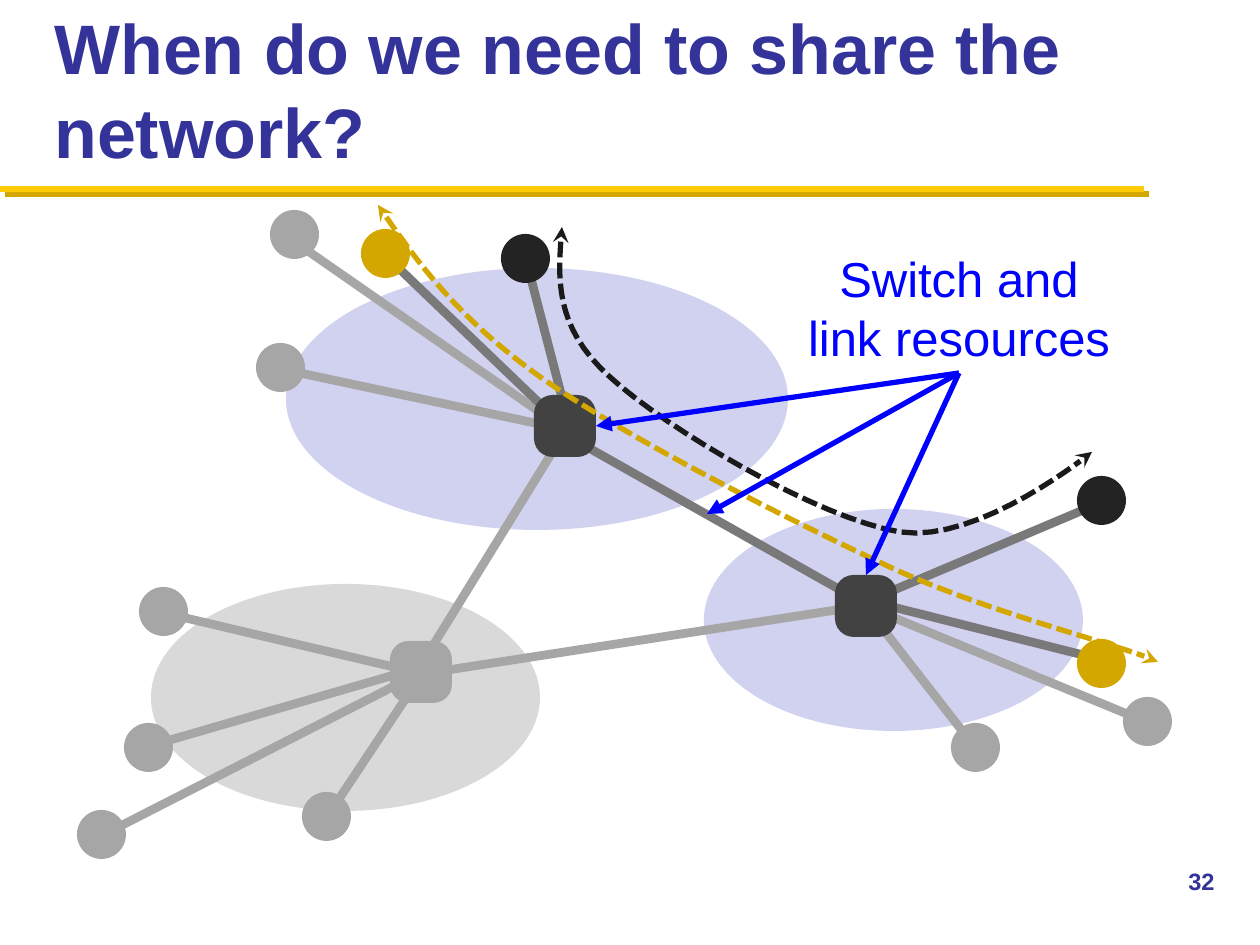
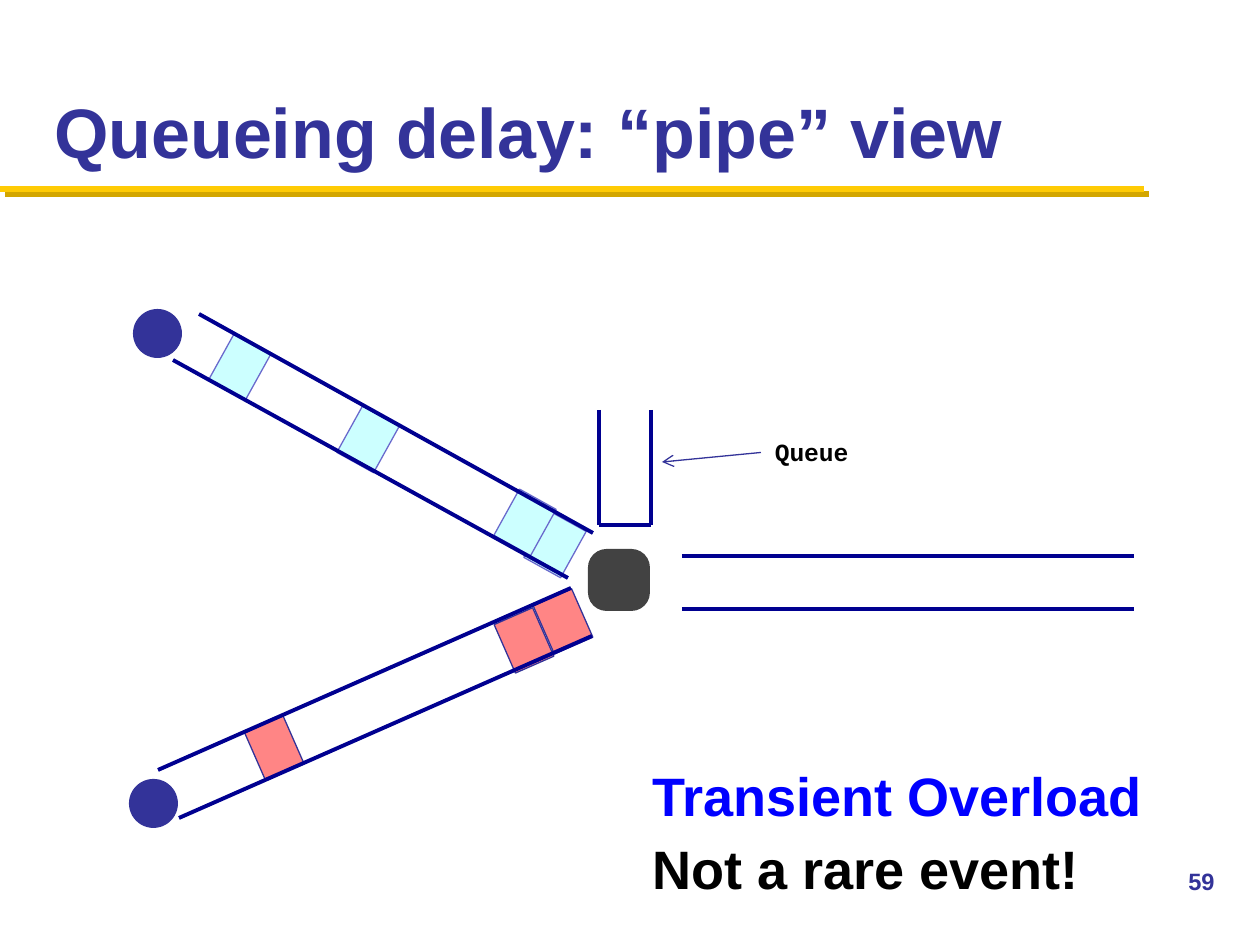
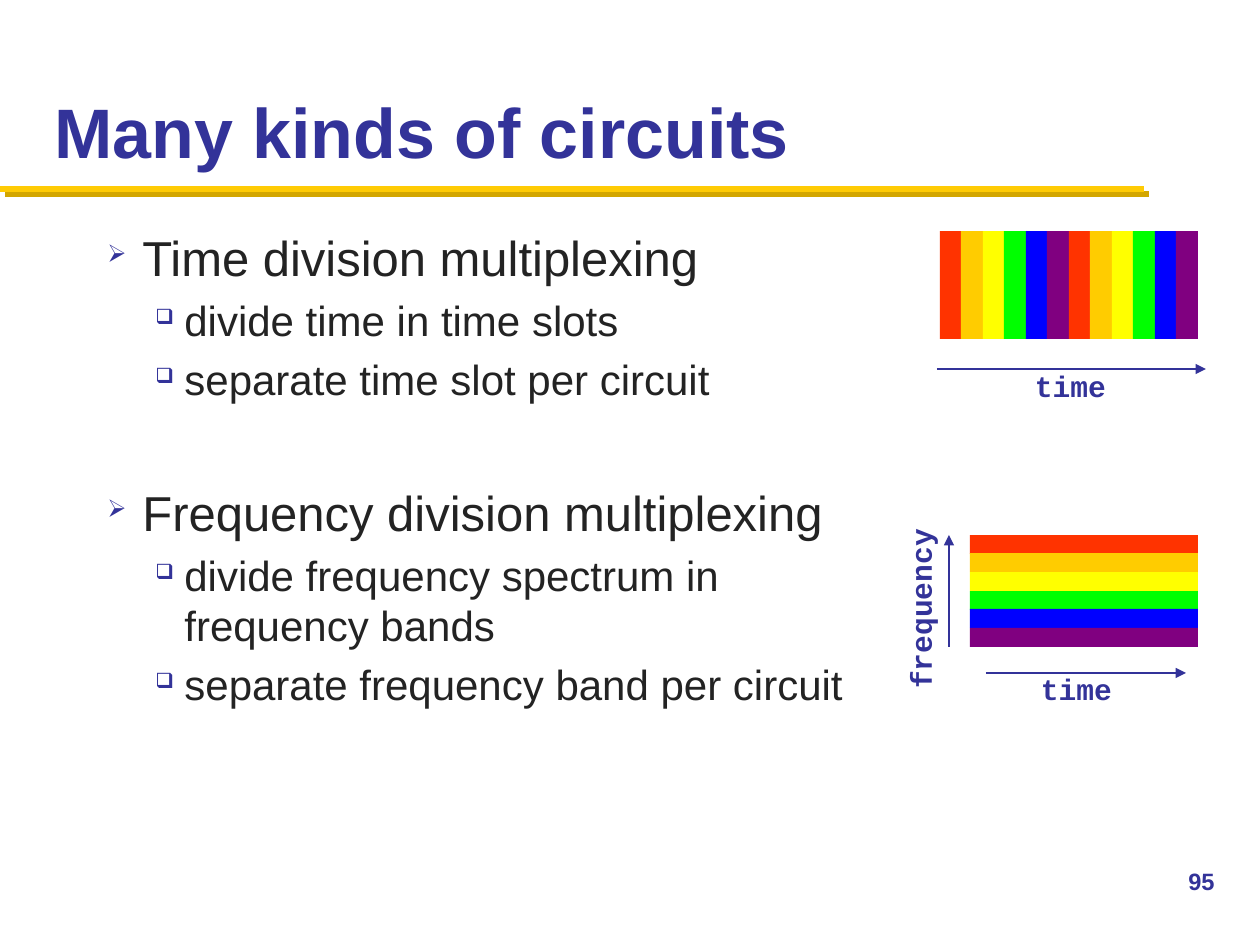
from lxml.etree import SubElement
from pptx import Presentation
from pptx.dml.color import RGBColor
from pptx.enum.dml import MSO_LINE
from pptx.enum.shapes import MSO_CONNECTOR, MSO_SHAPE as SHAPE
from pptx.enum.text import MSO_ANCHOR as ANCHOR, PP_ALIGN as ALIGN
from pptx.oxml.ns import qn
from pptx.util import Pt

PX = 7257  # EMU per px, 126 px to the inch
SANS, MONO = "Arial", "Courier New"
INDIGO, NAVY, BLUE, BLACK = "333399", "000090", "0000FF", "000000"
YELLOW, GOLD, INK = "FFCB05", "D3A600", "232323"
LAVENDER, PALE_GRAY = "D1D1F0", "D9D9D9"
GRAY, DARK_GRAY, CHARCOAL = "A6A6A6", "797979", "424242"
RAINBOW = ["FF3300", "FFCC00", "FFFF00", "00FF00", "0000FF", "800080"]
HOST_SIZE, SWITCH_SIZE = 49, 62
color = RGBColor.from_string


def add_block(slide, kind, box, fill, outline=None, rotation=0):
    shape = slide.shapes.add_shape(kind, *[value * PX for value in box])
    shape.shadow.inherit = False
    shape.fill.solid()
    shape.fill.fore_color.rgb = color(fill)
    shape.rotation = rotation
    if outline:
        shape.line.color.rgb = color(outline)
        shape.line.width = Pt(0.75)
    else:
        shape.line.fill.background()
    if kind == SHAPE.ROUNDED_RECTANGLE:
        shape.adjustments[0] = 0.3
    return shape


def add_line(slide, ends, line_color, width, arrow=None):
    """Draw a straight line through ends (x1, y1, x2, y2), with an optional arrowhead."""
    connector = slide.shapes.add_connector(
        MSO_CONNECTOR.STRAIGHT, *[value * PX for value in ends])
    connector.line.color.rgb = color(line_color)
    connector.line.width = Pt(width)
    properties = connector._element.spPr
    if arrow:
        SubElement(properties.find(qn("a:ln")), qn("a:tailEnd"), type=arrow)
    SubElement(properties, qn("a:effectLst"))
    return connector


presentation = Presentation()
presentation.slide_width = 1260 * PX
presentation.slide_height = 945 * PX

# Shared frame: double rule, title and slide number
slides = []
labels = []
for title, number in [("When do we need to share the network?", "32"),
                      ("Queueing delay: “pipe” view", "59"),
                      ("Many kinds of circuits", "95")]:
    slide = presentation.slides.add_slide(presentation.slide_layouts[6])
    add_line(slide, (5, 194, 1149, 194), GOLD, 3.5)
    add_line(slide, (0, 189, 1144, 189), YELLOW, 3.5)
    slides.append(slide)
    labels += [
        (slide, title, (42, 21, 1176, 158), 40, SANS, INDIGO, True, ALIGN.LEFT),
        (slide, number, (1176, 861, 84, 63), 13.5, SANS, INDIGO, True, ALIGN.LEFT),
    ]
sharing, queueing, circuits = slides

# Labels of all slides
labels += [
    (sharing, "Switch and link resources", (794, 242, 330, 131), 28, SANS, BLUE, False, ALIGN.CENTER),
    (queueing, "Transient Overload", (640, 756, 588, 78), 30.9, SANS, BLUE, True, ALIGN.LEFT),
    (queueing, "Not a rare event!", (640, 829, 588, 78), 30.9, SANS, BLACK, True, ALIGN.LEFT),
    (queueing, "Queue", (761, 431, 100, 43), 14.1, MONO, BLACK, True, ALIGN.RIGHT),
    (circuits, "time", (1022, 362, 97, 48), 16.9, MONO, INDIGO, True, ALIGN.CENTER),
    (circuits, "time", (1028, 665, 97, 48), 16.9, MONO, INDIGO, True, ALIGN.CENTER),
    (circuits, "frequency", (827, 585, 186, 48), 16.9, MONO, INDIGO, True, ALIGN.CENTER),
]
text_boxes = {}
for slide, text, box, size, font_name, text_color, bold, align in labels:
    text_box = slide.shapes.add_textbox(*[value * PX for value in box])
    text_box.text_frame.word_wrap = font_name == SANS
    paragraph = text_box.text_frame.paragraphs[0]
    paragraph.text = text
    paragraph.alignment = align
    paragraph.font.name = font_name
    paragraph.font.size = Pt(size)
    paragraph.font.bold = bold
    paragraph.font.color.rgb = color(text_color)
    if size == 40:
        text_box.text_frame.vertical_anchor = ANCHOR.BOTTOM
    text_boxes[text] = text_box
text_boxes["frequency"].rotation = 270

# Slide 1: networks, links, hosts and switches
for box, fill in [((704, 509, 379, 222), LAVENDER),
                  ((286, 268, 502, 262), LAVENDER),
                  ((151, 584, 389, 227), PALE_GRAY)]:
    add_block(sharing, SHAPE.OVAL, box, fill)

for ends, link_color in [
    ((528, 267, 571, 432), DARK_GRAY),
    ((1149, 723, 863, 605), GRAY),
    ((412, 677, 97, 838), GRAY),
    ((281, 369, 558, 428), GRAY),
    ((160, 612, 415, 672), GRAY),
    ((420, 677, 331, 811), GRAY),
    ((295, 242, 554, 422), GRAY),
    ((386, 256, 558, 421), DARK_GRAY),
    ((146, 747, 415, 669), GRAY),
    ((1100, 503, 861, 604), DARK_GRAY),
    ((869, 611, 974, 746), GRAY),
    ((1099, 659, 869, 601), DARK_GRAY),
    ((557, 430, 867, 605), DARK_GRAY),
    ((566, 430, 421, 665), GRAY),
    ((869, 605, 422, 674), GRAY),
]:
    add_line(sharing, ends, link_color, 5)

hosts = {
    GRAY: [(256, 343), (139, 587), (302, 792), (270, 210), (124, 723),
           (951, 723), (77, 810), (1123, 697)],
    GOLD: [(361, 229), (1077, 639)],
    INK: [(501, 234), (1077, 476)],
}
for host_color, corners in hosts.items():
    for corner in corners:
        add_block(sharing, SHAPE.OVAL, (*corner, HOST_SIZE, HOST_SIZE), host_color)

upper_switch, lower_switch, right_switch = [
    add_block(sharing, SHAPE.ROUNDED_RECTANGLE, (*corner, SWITCH_SIZE, SWITCH_SIZE), fill)
    for corner, fill in [((534, 395), CHARCOAL), ((390, 641), GRAY), ((835, 575), CHARCOAL)]]

# Dashed flows, each a chain of cubic curves that share their end points
flows = [
    ("1A1A1A", [(562, 227), (558, 277), (553, 326), (610, 377), (665, 428),
                (819, 519), (900, 532), (980, 544), (1092, 452), (1092, 452)]),
    (GOLD, [(378, 205), (417, 262), (457, 318), (543, 379), (630, 440),
            (793, 522), (896, 570), (998, 616), (1125, 646), (1158, 662)]),
]
STEPS = 16
for flow_color, controls in flows:
    points = []
    for first in range(0, len(controls) - 1, 3):
        curve = controls[first:first + 4]
        for step in range(1, STEPS + 1):
            t = step / STEPS
            weights = [(1 - t) ** 3, 3 * t * (1 - t) ** 2, 3 * t * t * (1 - t), t ** 3]
            points.append([PX * sum(weight * point[axis] for weight, point in zip(weights, curve))
                           for axis in (0, 1)])
    builder = sharing.shapes.build_freeform(*[value * PX for value in controls[0]])
    builder.add_line_segments(points, close=False)
    flow = builder.convert_to_shape()
    flow.shadow.inherit = False
    flow.fill.background()
    flow.line.color.rgb = color(flow_color)
    flow.line.width = Pt(3)
    flow.line.dash_style = MSO_LINE.SQUARE_DOT
    for end in ("a:headEnd", "a:tailEnd"):
        SubElement(flow._element.spPr.find(qn("a:ln")), qn(end), type="stealth")

for target, switch, side in [((596, 426), upper_switch, 3),
                             ((866, 575), right_switch, 0),
                             ((707, 514), None, None)]:
    pointer = add_line(sharing, (959, 373, *target), BLUE, 3, "triangle")
    pointer.begin_connect(text_boxes["Switch and link resources"], 2)
    if switch:
        pointer.end_connect(switch, side)

# Slide 2: incoming pipes with packets, queue and outgoing pipe
for packets, fill, outline, rotation, walls in [
    ([(253, 721), (542, 595), (503, 614)], "FF8585", INDIGO, 336.3,
     [(158, 770, 571, 588), (179, 818, 592, 636)]),
    ([(534, 518), (504, 496), (347, 413), (219, 340)], "CCFFFF", "6A6ACD", 29,
     [(199, 314, 593, 533), (173, 360, 568, 578)]),
]:
    for corner in packets:
        add_block(queueing, SHAPE.RECTANGLE, (*corner, 42, 53), fill, outline, rotation)
    for wall in walls:
        add_line(queueing, wall, NAVY, 2.25)

queue_walls = [(599, 410, 599, 525), (651, 410, 651, 525), (599, 525, 651, 525)]
outgoing_walls = [(682, 556, 1134, 556), (682, 609, 1134, 609)]
for wall in queue_walls + outgoing_walls:
    add_line(queueing, wall, NAVY, 2.25)

for corner in [(133, 309), (129, 779)]:
    add_block(queueing, SHAPE.OVAL, (*corner, HOST_SIZE, HOST_SIZE), INDIGO)
add_block(queueing, SHAPE.ROUNDED_RECTANGLE, (588, 549, SWITCH_SIZE, SWITCH_SIZE), CHARCOAL)
queue_pointer = add_line(queueing, (761, 452, 662, 462), INDIGO, 0.75, "arrow")
queue_pointer.begin_connect(text_boxes["Queue"], 1)

# Slide 3: bulleted text
body = circuits.shapes.add_textbox(95 * PX, 221 * PX, 1092 * PX, 608 * PX).text_frame
body.word_wrap = True
levels = [("➢", 28, 35, -35), ("❑", 24, 77, -29)]
for index, (text, level, space_before) in enumerate([
    ("Time division multiplexing", 0, 0),
    ("divide time in time slots", 1, 4.8),
    ("separate time slot per circuit", 1, 4.8),
    ("Frequency division multiplexing", 0, 45),
    ("divide frequency spectrum in\vfrequency bands", 1, 4.8),
    ("separate frequency band per circuit", 1, 4.8),
]):
    bullet, size, margin, indent = levels[level]
    paragraph = body.add_paragraph() if index else body.paragraphs[0]
    paragraph.text = text
    paragraph.level = level
    paragraph.space_before = Pt(space_before)
    properties = paragraph._p.get_or_add_pPr()
    properties.set("marL", str(margin * PX))
    properties.set("indent", str(indent * PX))
    SubElement(SubElement(properties, qn("a:buClr")), qn("a:srgbClr"), val=INDIGO)
    SubElement(properties, qn("a:buSzPct"), val="50000")
    SubElement(properties, qn("a:buChar"), char=bullet)
    paragraph.font.name = SANS
    paragraph.font.size = Pt(size)
    paragraph.font.color.rgb = color(INK)

# Time slots, frequency bands and their axes
for slot, fill in enumerate(RAINBOW * 2):
    add_block(circuits, SHAPE.RECTANGLE, (940 + 258 * slot // 12, 231, 22, 108), fill)
for band, fill in enumerate(RAINBOW):
    add_block(circuits, SHAPE.RECTANGLE, (970, 535 + 112 * band // 6, 228, 19), fill)
for axis in [(937, 369, 1206, 369), (949, 647, 949, 535), (986, 673, 1186, 673)]:
    add_line(circuits, axis, INDIGO, 0.75, "triangle")

presentation.save("out.pptx")
